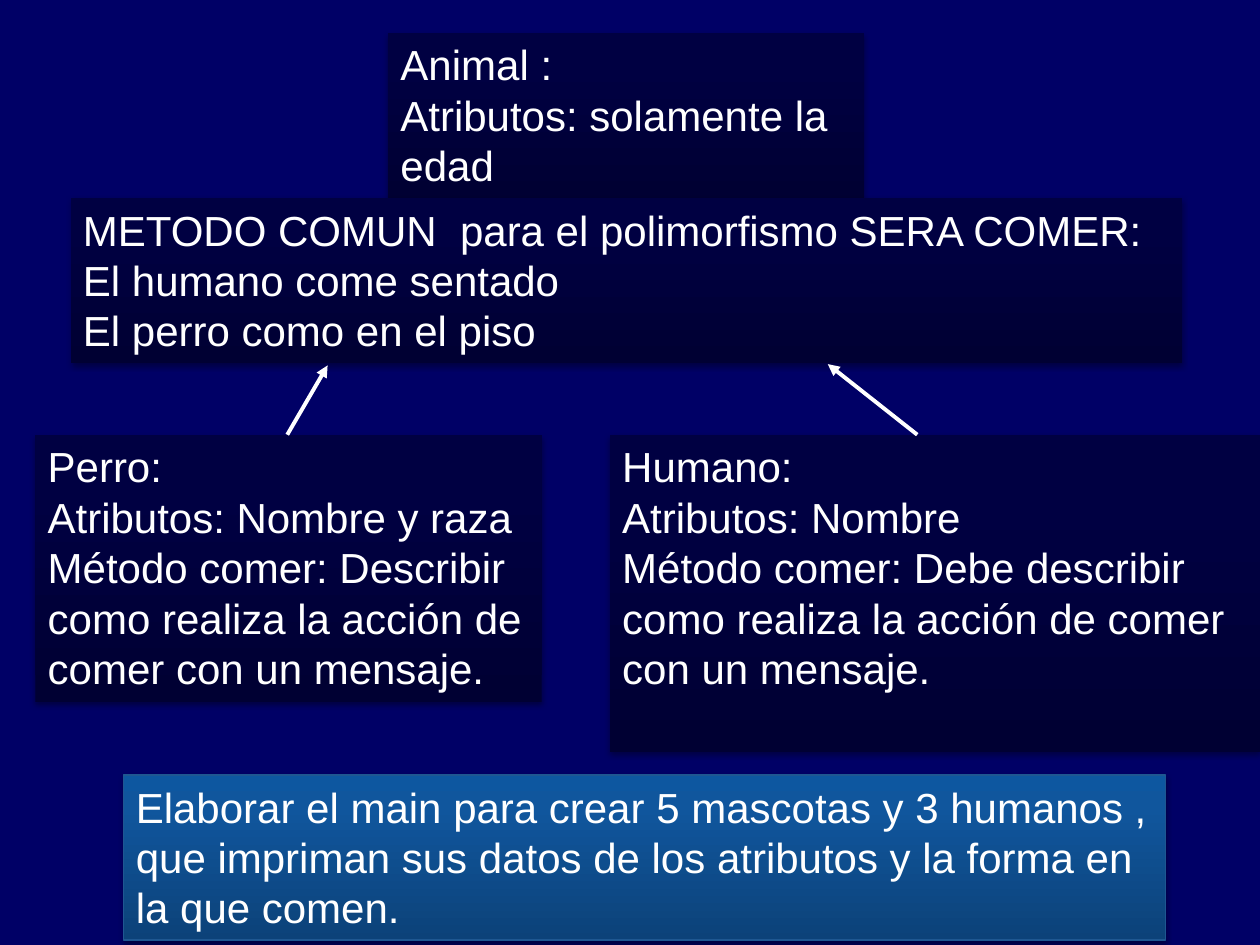
"""Builds the class diagram slide of the animal polymorphism exercise."""
import pptx
import pptx.dml.color
import pptx.enum.dml
import pptx.enum.shapes
import pptx.enum.text
import pptx.oxml
import pptx.oxml.ns
import pptx.util
import copy

COLUMNS, ROWS = 100, 75
NAVY = ("000033", "000042", "000042")
BLUE = ("0C4279", "10569D", "0D57A0")


def color(hex_code):
    """Return the RGB colour of a hex string."""
    return pptx.dml.color.RGBColor.from_string(hex_code)


def effects(inner=""):
    """Return an effect list element."""
    return pptx.oxml.parse_xml(
        f'<a:effectLst {pptx.oxml.ns.nsdecls("a")}>{inner}</a:effectLst>')


class Diagram:
    """Holds the style and the current slide."""

    font, size, ink = "Arial", 24, "FFFFFF"
    shadow = ('<a:outerShdw blurRad="40000" dist="23000" dir="5400000" rotWithShape="0">'
              '<a:srgbClr val="000000"><a:alpha val="35000"/></a:srgbClr></a:outerShdw>')

    def __init__(self, deck, background):
        """Add a blank slide with a plain background."""
        self.column = deck.slide_width / COLUMNS
        self.row = deck.slide_height / ROWS
        self.slide = deck.slides.add_slide(deck.slide_layouts[6])
        self.slide.background.fill.solid()
        self.slide.background.fill.fore_color.rgb = color(background)

    def place(self, *cells):
        """Turn alternating columns and rows into lengths."""
        return [round(cell * (self.row if i % 2 else self.column))
                for i, cell in enumerate(cells)]

    def box(self, left, top, width, height, lines, shades=NAVY, border=None):
        """Add a shaded box with one paragraph per line."""
        box = self.slide.shapes.add_shape(
            pptx.enum.shapes.MSO_SHAPE.RECTANGLE, *self.place(left, top, width, height))
        self.shade(box.fill, shades)
        if border:
            box.line.color.rgb = color(border)
            box.line.width = pptx.util.Pt(0.75)
        else:
            box.line.fill.background()
        box._element.spPr.append(effects(self.shadow))
        frame = box.text_frame
        frame.word_wrap = True
        frame.vertical_anchor = pptx.enum.text.MSO_ANCHOR.TOP
        frame.text = "\n".join(lines)
        for paragraph in frame.paragraphs:
            paragraph.alignment = pptx.enum.text.PP_ALIGN.LEFT
            for run in paragraph.runs:
                run.font.name = self.font
                run.font.size = pptx.util.Pt(self.size)
                run.font.color.rgb = color(self.ink)

    def shade(self, fill, shades):
        """Apply a three-stop gradient from bottom to top."""
        fill.gradient()
        fill.gradient_angle = 90
        stop_list = fill._xPr.find(pptx.oxml.ns.qn("a:gradFill")).gsLst
        stop_list.append(copy.deepcopy(stop_list[-1]))
        for stop, position, shade in zip(fill.gradient_stops, (0, 0.8, 1), shades):
            stop.position = position
            stop.color.rgb = color(shade)

    def arrow(self, *ends):
        """Add an inheritance arrow between two grid points."""
        arrow = self.slide.shapes.add_connector(
            pptx.enum.shapes.MSO_CONNECTOR.STRAIGHT, *self.place(*ends))
        arrow.line.color.rgb = color(self.ink)
        arrow.line.width = pptx.util.Pt(2.25)
        arrow.line._get_or_add_ln().append(pptx.oxml.parse_xml(
            f'<a:tailEnd {pptx.oxml.ns.nsdecls("a")} type="triangle"/>'))
        arrow._element.spPr.append(effects())


deck = pptx.Presentation()
deck.slide_width = pptx.util.Inches(10)
deck.slide_height = pptx.util.Inches(7.5)
diagram = Diagram(deck, "000066")

class_top = 34.5
diagram.box(30.8, 2.6, 37.8, 13.1, ["Animal :", "Atributos: solamente la edad"])
diagram.box(5.6, 15.7, 88.2, 13.1, [
    "METODO COMUN  para el polimorfismo SERA COMER: ",
    "El humano come sentado",
    "El perro como en el piso"])
diagram.box(48.4, class_top, 51.6, 25.2, [
    "Humano:",
    "Atributos: Nombre",
    "Método comer: Debe describir como realiza la acción de comer con un mensaje."])
diagram.box(2.8, class_top, 40.2, 21.2, [
    "Perro:",
    "Atributos: Nombre y raza",
    "Método comer: Describir como realiza la acción de comer con un mensaje."])
diagram.arrow(22.8, class_top, 26, 29)
diagram.arrow(72.8, class_top, 65.7, 28.9)
diagram.box(9.8, 61.5, 82.7, 13.1, [
    "Elaborar el main para crear 5 mascotas y 3 humanos , que impriman sus datos "
    "de los atributos y la forma en la que comen."], BLUE, "1E5791")

deck.save("out.pptx")
